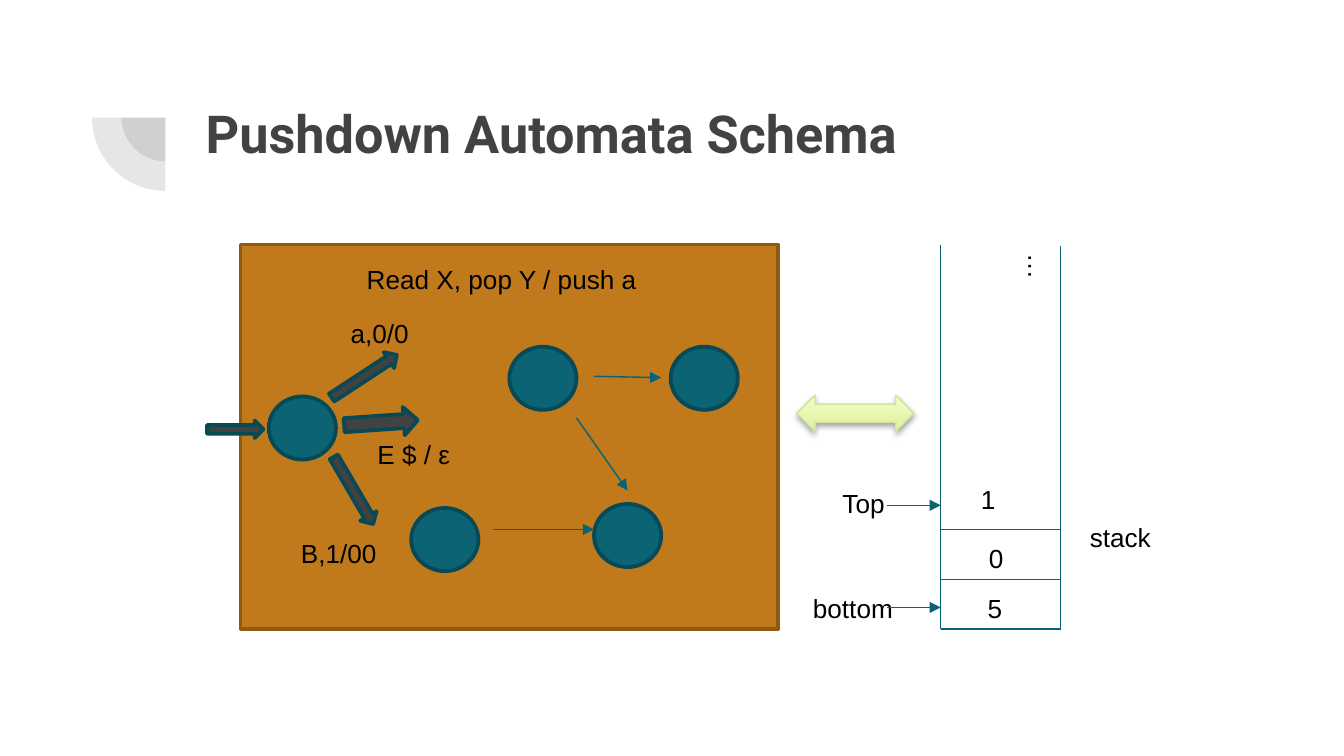
from lxml import etree
from pptx import Presentation
from pptx.dml.color import RGBColor
from pptx.enum.shapes import MSO_CONNECTOR, MSO_SHAPE
from pptx.enum.text import MSO_ANCHOR, MSO_AUTO_SIZE, PP_ALIGN
from pptx.oxml.ns import qn
from pptx.util import Inches, Pt

RECTANGLE, OVAL, PIE = MSO_SHAPE.RECTANGLE, MSO_SHAPE.OVAL, MSO_SHAPE.PIE
RIGHT_ARROW, DOUBLE_ARROW = MSO_SHAPE.RIGHT_ARROW, MSO_SHAPE.LEFT_RIGHT_ARROW
STRAIGHT = MSO_CONNECTOR.STRAIGHT
LEFT, TOP = PP_ALIGN.LEFT, MSO_ANCHOR.TOP
FIXED_SIZE, GROW = MSO_AUTO_SIZE.NONE, MSO_AUTO_SIZE.SHAPE_TO_FIT_TEXT

CELL = 0.1  # side of one grid cell in inches


def color(hex_text):
    return RGBColor.from_string(hex_text)


def grid(*lengths):
    """Turn columns and rows of the grid into lengths on the slide."""
    return [Inches(length * CELL) for length in lengths]


def add_element(parent, tag, **attributes):
    element = etree.SubElement(parent, qn(tag))
    for name, value in attributes.items():
        element.set(name, str(value))
    return element


class Diagram:
    DARK, TEAL, TEAL_EDGE, WIRE = "424242", "0B6374", "084956", "086374"
    LABEL_HEIGHT = 3.4

    def __init__(self, deck):
        self.page = deck.slides.add_slide(deck.slide_layouts[5])
        self.shapes = self.page.shapes

    def title(self, text, *place):
        box = self.shapes.title
        box.left, box.top, box.width, box.height = grid(*place)
        frame = box.text_frame
        frame.text = text
        frame.auto_size, frame.vertical_anchor = FIXED_SIZE, TOP
        frame.margin_left = frame.margin_right = Inches(0.1)
        frame.margin_top = frame.margin_bottom = Inches(0.1)
        para = frame.paragraphs[0]
        para.alignment = LEFT
        self.font(para, 28, "Roboto", self.DARK, bold=True)

    def font(self, para, size, name, tint, bold=False):
        font = para.font
        font.size, font.name, font.bold = Pt(size), name, bold
        font.color.rgb = color(tint)

    def shape(self, kind, place, fill, edge=None, width=2, turn=0):
        shape = self.shapes.add_shape(kind, *grid(*place))
        shape.shadow.inherit = False
        shape.rotation = turn
        shape.fill.solid()
        shape.fill.fore_color.rgb = color(fill)
        if edge:
            shape.line.color.rgb = color(edge)
            shape.line.width = Pt(width)
        else:
            shape.line.fill.background()
        return shape

    def quarter(self, center_x, center_y, radius):
        """Translucent lower-left quarter of a disc."""
        place = (center_x - radius, center_y - radius, 2 * radius, 2 * radius)
        pie = self.shape(PIE, place, self.DARK, turn=270)
        pie.adjustments[0], pie.adjustments[1] = 108, 162
        tint = pie.fill._xPr.find(qn("a:solidFill"))[0]
        add_element(tint, "a:alpha", val=13000)

    def state(self, left, top):
        self.shape(OVAL, (left, top, 5, 4.7), self.TEAL, self.TEAL_EDGE)

    def block_arrow(self, place, turn=0):
        arrow = self.shape(RIGHT_ARROW, place, self.DARK, self.TEAL_EDGE, turn=turn)
        add_element(arrow.line._get_or_add_ln(), "a:round")

    def exchange_arrow(self, *place):
        arrow = self.shape(DOUBLE_ARROW, place, "DDF099", "D3E39E", 0.75)
        arrow.fill.gradient()
        arrow.fill.gradient_angle = 90
        for stop, (position, tint) in zip(arrow.fill.gradient_stops,
                                          [(0, "DDF099"), (1, "F2FFCB")]):
            stop.position = position
            stop.color.rgb = color(tint)
        effects = arrow._element.spPr.find(qn("a:effectLst"))
        shadow = add_element(effects, "a:outerShdw", blurRad=Pt(3.1),
                             dist=Pt(1.8), dir=5400000, rotWithShape=0)
        add_element(add_element(shadow, "a:srgbClr", val="000000"),
                    "a:alpha", val=35000)

    def wire(self, start, end, head=False):
        wire = self.shapes.add_connector(STRAIGHT, *grid(*start, *end))
        wire.line.color.rgb = color(self.WIRE)
        wire.line.width = Pt(0.75)
        if head:
            add_element(wire.line._get_or_add_ln(), "a:tailEnd", type="triangle")
        add_element(wire._element.spPr, "a:effectLst")

    def label(self, text, left, top, width=8.1, turn=0):
        box = self.shapes.add_textbox(*grid(left, top, width, self.LABEL_HEIGHT))
        box.rotation = turn
        frame = box.text_frame
        frame.word_wrap, frame.auto_size = True, GROW
        frame.text = text
        self.font(frame.paragraphs[0], 14, "Arial", "000000")


def draw_automaton(diagram):
    diagram.shape(RECTANGLE, (17.9, 18.2, 40, 28.6), "C0791B", "8E5A14")
    for left, top in [(20, 29.5), (30.6, 37.8), (44.2, 37.5),
                      (37.9, 25.8), (49.9, 25.8)]:
        diagram.state(left, top)
    for place, turn in [((24.2, 27.3, 5.8, 1.4), 326.8),
                        ((25.6, 30.4, 5.5, 2.1), 356.1),
                        ((23.4, 35.8, 5.8, 1.4), 59.7)]:
        diagram.block_arrow(place, turn)
    for start, end in [((36.7, 39.4), (44.2, 39.4)),
                       ((42.9, 31.1), (46.7, 36.5)),
                       ((44.2, 28), (49.2, 28.1))]:
        diagram.wire(start, end, head=True)
    diagram.block_arrow((15.4, 31.3, 4.2, 1.3))
    diagram.label("Read X, pop Y / push a", 26.3, 19.1, width=29)
    for text, left, top in [("a,0/0", 25.1, 23.1), ("Ε $ / ε", 27.1, 32.1),
                            ("B,1/00", 21.4, 39.5)]:
        diagram.label(text, left, top)


def draw_stack(diagram):
    left, right, top, bottom, row = 70, 78.9, 18.2, 46.8, 3.7
    for side, drop in [(left, 0), (right, 0.1)]:
        diagram.wire((side, top + drop), (side, bottom + drop))
    for index in range(3):
        level = bottom - index * row
        diagram.wire((left, level), (right, level))
    diagram.label("…", 74.3, 19.1, width=5.9, turn=90)
    for text, column, level in [("1", 72, 35.5), ("0", 72.6, 39.9),
                                ("5", 72.5, 43.6)]:
        diagram.label(text, column, level, width=5.9)
    diagram.label("stack", 80.1, 38.3)
    for text, column, label_top, level in [("Top", 61.7, 35.8, 37.6),
                                           ("bottom", 59.5, 43.6, 45.2)]:
        diagram.label(text, column, label_top)
        diagram.wire((66, level), (left, level), head=True)


def main():
    deck = Presentation()
    deck.slide_width = Inches(10)
    deck.slide_height = deck.slide_width * 9 // 16
    diagram = Diagram(deck)
    for radius in (3.25, 5.45):
        diagram.quarter(12.3, 8.75, radius)
    diagram.title("Pushdown Automata Schema", 14.3, 6.5, 76.9, 10.9)
    draw_automaton(diagram)
    diagram.exchange_arrow(59.3, 29.4, 8.7, 2.7)
    draw_stack(diagram)
    deck.save("out.pptx")


if __name__ == "__main__":
    main()
